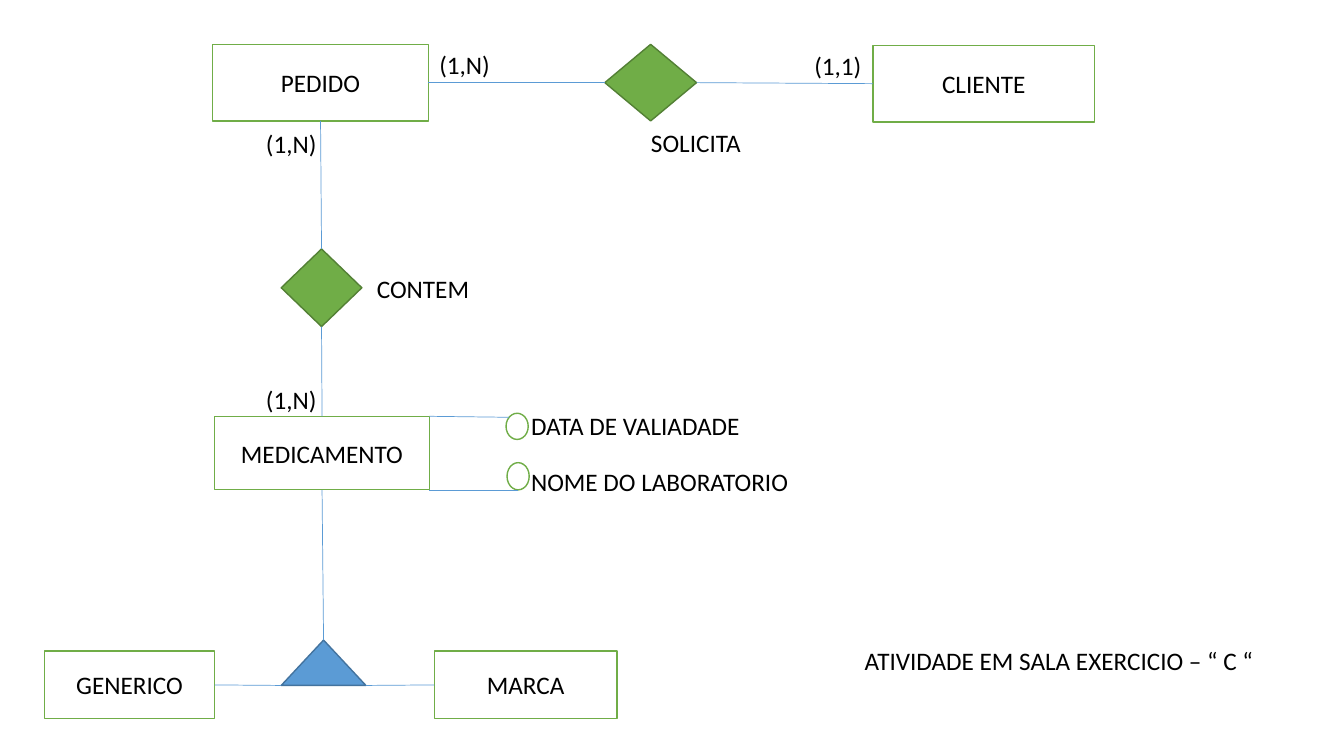
import pptx
import pptx.util
import pptx.dml.color
import pptx.enum.shapes
import pptx.enum.text
import pptx.oxml.ns
import lxml.etree

CELL = 0.1
COLS, ROWS = 133.33, 75
TONE = {
    "paper": "FFFFFF",
    "ink": "000000",
    "green": "70AD47",
    "moss": "538035",
    "blue": "5B9BD5",
    "navy": "43739E",
}
KIND = pptx.enum.shapes.MSO_SHAPE
SITE = {"top": 0, "left": 1, "bottom": 2, "right": 3}
FONT = {"name": "Calibri", "size": pptx.util.Pt(18)}
ENTITY = {"vertical_anchor": pptx.enum.text.MSO_ANCHOR.MIDDLE, "word_wrap": True}
LABEL = {"auto_size": pptx.enum.text.MSO_AUTO_SIZE.SHAPE_TO_FIT_TEXT}


def span(count):
    return pptx.util.Inches(count * CELL)


def color(name):
    return pptx.dml.color.RGBColor.from_string(TONE[name])


def apply(target, values):
    for key, value in values.items():
        setattr(target, key, value)


def place(box, col, row, wide, high):
    return [span(n) for n in (box[0] + col, box[1] + row, wide, high)]


def write(frame, text, values):
    apply(frame, values)
    run = frame.paragraphs[0].add_run()
    run.text = text
    apply(run.font, FONT)
    run.font.color.rgb = color("ink")


def draw(slide, kind, area, fill, edge):
    shape = slide.shapes.add_shape(kind, *area)
    shape.shadow.inherit = False
    shape.fill.solid()
    shape.fill.fore_color.rgb = color(fill)
    shape.line.color.rgb = color(edge)
    shape.line.width = pptx.util.Pt(1)
    return shape


def entity(slide, text, area):
    shape = draw(slide, KIND.RECTANGLE, area, "paper", "green")
    write(shape.text_frame, text, ENTITY)
    shape.text_frame.paragraphs[0].alignment = pptx.enum.text.PP_ALIGN.CENTER
    return shape


def label(slide, text, area, wrap=False):
    frame = slide.shapes.add_textbox(*area).text_frame
    write(frame, text, {**LABEL, "word_wrap": wrap})


def wire(slide, start=(0, 0), end=(0, 0), head=None, tail=None):
    line = slide.shapes.add_connector(
        pptx.enum.shapes.MSO_CONNECTOR.STRAIGHT, *start, *end)
    if head:
        line.begin_connect(head[0], SITE[head[1]])
    if tail:
        line.end_connect(tail[0], SITE[tail[1]])
    line.line.color.rgb = color("blue")
    line.line.width = pptx.util.Pt(0.5)
    tag = pptx.oxml.ns.qn("a:effectLst")
    lxml.etree.SubElement(line.line._get_or_add_ln().getparent(), tag)


def order(slide, box):
    buyer = entity(slide, "CLIENTE", place(box, 65.5, 0.1, 22, 7.6))
    sale = entity(slide, "PEDIDO", place(box, 0, 0, 21.4, 7.6))
    ask = draw(slide, KIND.DIAMOND, place(box, 38.9, 0, 9.1, 7.6), "green", "moss")
    wire(slide, head=(sale, "right"), tail=(ask, "left"))
    wire(slide, head=(ask, "right"), tail=(buyer, "left"))
    label(slide, "SOLICITA", place(box, 42.5, 7.7, 11, 4))
    label(slide, "(1,N)", place(box, 21.5, 0, 7.1, 4))
    label(slide, "(1,1)", place(box, 58.7, 0.1, 6.8, 4))
    return sale


def drug(slide, box):
    item = entity(slide, "MEDICAMENTO", place(box, 0, 0, 21.3, 7.3))
    traits = (
        ("DATA DE VALIADADE", 28.9, -0.3, 2.6, -1.1, 22.9, False, 0, 29.2, 0.1),
        ("NOME DO LABORATORIO", 29, 4.6, 2.7, 4.5, 27.6, True, 7.3, 30.1, 7.3),
    )
    for text, col, row, high, top, wide, wrap, edge, far, end in traits:
        draw(slide, KIND.OVAL, place(box, col, row, 2.2, high), "paper", "green")
        wire(slide, place(box, 21.3, edge, 0, 0)[:2], place(box, far, end, 0, 0)[:2])
        label(slide, text, place(box, 30.4, top, wide, 4), wrap)
    return item


def hold(slide, box, sale, item):
    link = draw(slide, KIND.DIAMOND, place(box, 2.5, 12.7, 8, 7.7), "green", "moss")
    wire(slide, head=(sale, "bottom"), tail=(link, "top"))
    wire(slide, head=(link, "bottom"), tail=(item, "top"))
    label(slide, "CONTEM", place(box, 11, 14.6, 11.3, 4))
    for row in (0.2, 25.6):
        label(slide, "(1,N)", place(box, 0, row, 7.1, 4))


def types(slide, box, item):
    plain = entity(slide, "GENERICO", place(box, 0, 1.1, 16.9, 6.7))
    brand = entity(slide, "MARCA", place(box, 38.7, 1.1, 18.1, 6.7))
    split = draw(slide, KIND.ISOSCELES_TRIANGLE,
                 place(box, 23.5, 0, 8.4, 4.5), "blue", "navy")
    wire(slide, head=(item, "bottom"), tail=(split, "top"))
    base = split.top + split.height
    wire(slide, end=(split.left, base), head=(plain, "right"))
    wire(slide, start=(split.left + split.width, base), tail=(brand, "left"))


def note(slide, box):
    label(slide, "ATIVIDADE EM SALA EXERCICIO – “ C “", place(box, 0, 0, 47.6, 7.1), True)


def main():
    deck = pptx.Presentation()
    apply(deck, {"slide_width": span(COLS), "slide_height": span(ROWS)})
    slide = deck.slides.add_slide(deck.slide_layouts[6])
    sale = order(slide, (21.1, 4.4))
    item = drug(slide, (21.3, 41.3))
    hold(slide, (25.4, 12), sale, item)
    types(slide, (4.4, 63.5), item)
    note(slide, (84.8, 63.5))
    deck.save("out.pptx")


if __name__ == "__main__":
    main()
